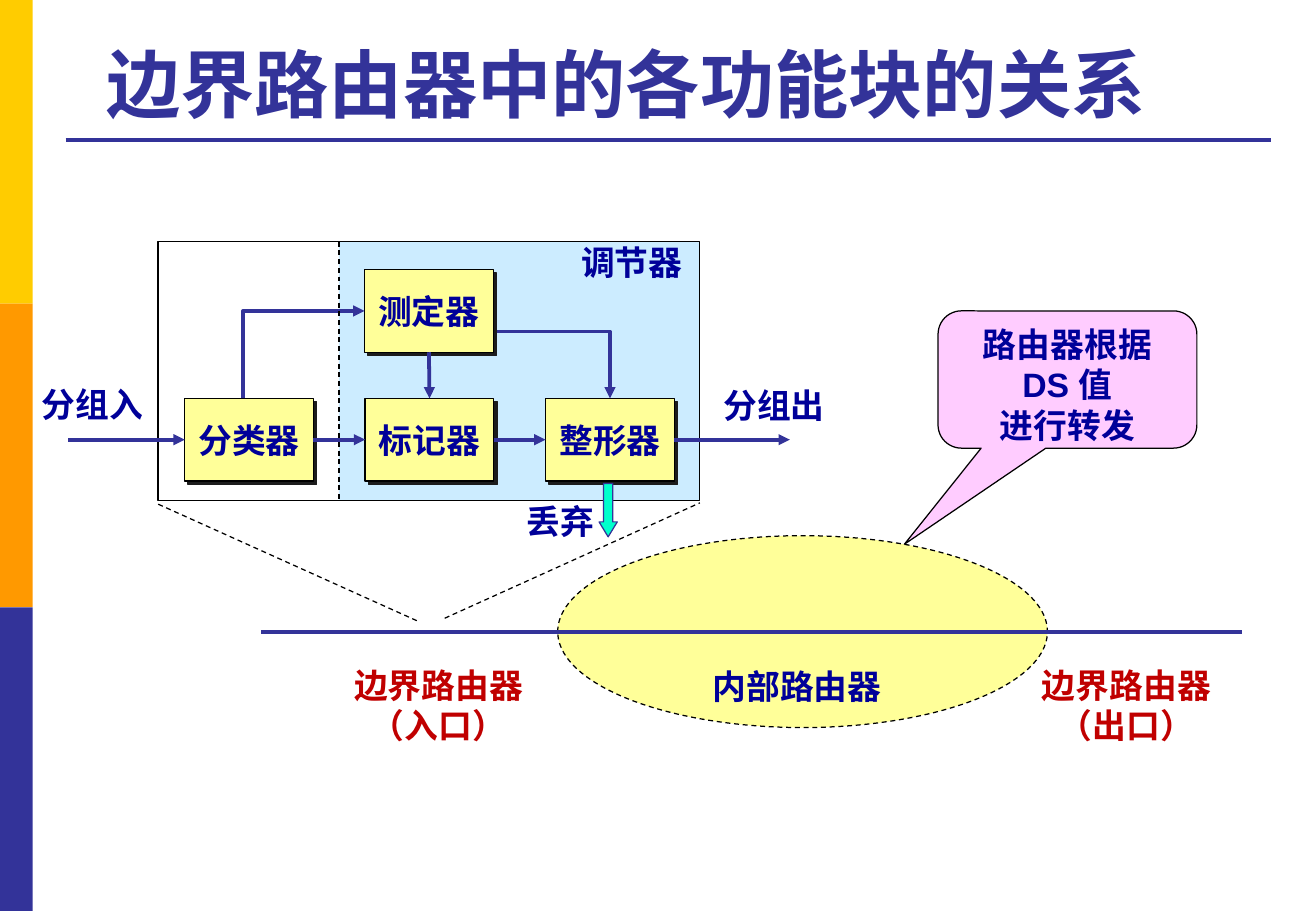
"""Build the slide on the function blocks of an edge router."""
from dataclasses import dataclass
from typing import Optional

from lxml.etree import SubElement
from pptx import Presentation
from pptx.dml.color import RGBColor
from pptx.enum.dml import MSO_LINE
from pptx.enum.shapes import MSO_CONNECTOR, MSO_SHAPE
from pptx.enum.text import MSO_ANCHOR, PP_ALIGN
from pptx.oxml.ns import qn
from pptx.util import Inches, Pt

BLACK = RGBColor(0x00, 0x00, 0x00)
INDIGO = RGBColor(0x33, 0x33, 0x99)
NAVY = RGBColor(0x00, 0x00, 0x99)
RED = RGBColor(0xC0, 0x00, 0x00)
GOLD = RGBColor(0xFF, 0xCC, 0x00)
ORANGE = RGBColor(0xFF, 0x99, 0x00)
SKY = RGBColor(0xCC, 0xEC, 0xFF)
YELLOW = RGBColor(0xFF, 0xFF, 0x99)
PINK = RGBColor(0xFF, 0xCC, 0xFF)
MINT = RGBColor(0x00, 0xFF, 0xCC)
TOP, LEFT, BOTTOM, RIGHT = range(4)


@dataclass
class Area:
    """A preset shape, its place and its look."""
    x: float
    y: float
    w: float
    h: float
    fill: Optional[RGBColor] = None
    edge: Optional[RGBColor] = None
    dash: bool = False
    kind: MSO_SHAPE = MSO_SHAPE.RECTANGLE


@dataclass
class Label:
    """A text box with its lines of text."""
    x: float
    y: float
    w: float
    h: float
    lines: list[str]
    color: RGBColor = NAVY


@dataclass
class Link:
    """A straight line between two points."""
    start: tuple[float, float]
    end: tuple[float, float]
    color: RGBColor = INDIGO
    width: float = 2.25
    dash: bool = False
    arrow: bool = False


def write(frame, lines: list[str], color: RGBColor, size: int = 20) -> None:
    """Fill a text frame with bold centred lines."""
    frame.text = "\n".join(lines)
    for para in frame.paragraphs:
        para.alignment = PP_ALIGN.CENTER
        font = para.font
        font.name, font.size, font.bold = "Arial", Pt(size), True
        font.color.rgb = color


def stroke(line, color: RGBColor, width: float, dash: bool = False, arrow: bool = False) -> None:
    """Set the look of a line."""
    line.color.rgb = color
    line.width = Pt(width)
    if dash:
        line.dash_style = MSO_LINE.DASH
    if arrow:
        SubElement(line._get_or_add_ln(), qn("a:tailEnd"), type="triangle")


def draw_area(shapes, area: Area):
    """Draw a preset shape."""
    shape = shapes.add_shape(area.kind, *map(Inches, (area.x, area.y, area.w, area.h)))
    shape.shadow.inherit = False
    if area.fill is None:
        shape.fill.background()
    else:
        shape.fill.solid()
        shape.fill.fore_color.rgb = area.fill
    if area.edge is None:
        shape.line.fill.background()
    else:
        stroke(shape.line, area.edge, 0.75, area.dash)
    return shape


def draw_block(shapes, x: float, y: float, name: str):
    """Draw a function block with a hard shadow."""
    block = draw_area(shapes, Area(x, y, 1.06, 0.68, YELLOW, BLACK))
    effects = block._element.spPr.find(qn("a:effectLst"))
    shade = SubElement(effects, qn("a:outerShdw"), dist=str(Pt(2.8)), dir="2700000",
                       algn="ctr", rotWithShape="0")
    SubElement(shade, qn("a:srgbClr"), val="1C1C1C")
    block.text_frame.word_wrap = False
    block.text_frame.vertical_anchor = MSO_ANCHOR.MIDDLE
    write(block.text_frame, [name], NAVY)
    return block


def draw_label(shapes, label: Label) -> None:
    """Draw a text label."""
    box = shapes.add_textbox(*map(Inches, (label.x, label.y, label.w, label.h)))
    box.text_frame.word_wrap = False
    write(box.text_frame, label.lines, label.color)


def draw_link(shapes, link: Link):
    """Draw a straight connector."""
    ends = map(Inches, (*link.start, *link.end))
    line = shapes.add_connector(MSO_CONNECTOR.STRAIGHT, *ends)
    stroke(line.line, link.color, link.width, link.dash, link.arrow)
    SubElement(line._element.spPr, qn("a:effectLst"))
    return line


def draw_bend(shapes, points: list[tuple[float, float]]) -> None:
    """Draw a bent arrow through the points."""
    spots = [(Inches(x), Inches(y)) for x, y in points]
    path = shapes.build_freeform(*spots[0])
    path.add_line_segments(spots[1:], close=False)
    bend = path.convert_to_shape()
    bend.shadow.inherit = False
    bend.fill.background()
    stroke(bend.line, INDIGO, 2.25, arrow=True)


def draw_frame(shapes) -> None:
    """Draw the side bars, the title and its rule."""
    for row, color in enumerate((GOLD, ORANGE, INDIGO)):
        draw_area(shapes, Area(0, 2.5 * row, 0.27, 2.5, color))
    draw_link(shapes, Link((0.54, 1.15), (10.46, 1.15)))
    title = shapes.add_textbox(*map(Inches, (0.46, 0.21, 9.39, 0.89))).text_frame
    title.word_wrap = True
    title.vertical_anchor = MSO_ANCHOR.BOTTOM
    write(title, ["边界路由器中的各功能块的关系"], INDIGO, 44)


def draw_flow(shapes) -> None:
    """Draw the function blocks and the arrows between them."""
    names = ("分类器", "标记器", "整形器")
    row = [draw_block(shapes, 1.52 + 1.485 * col, 3.28, name) for col, name in enumerate(names)]
    meter = draw_block(shapes, 3, 2.22, "测定器")
    sort, mark, shape = row
    joins = [
        (None, 0, sort, LEFT), (sort, RIGHT, mark, LEFT), (mark, RIGHT, shape, LEFT),
        (shape, RIGHT, None, 0), (meter, BOTTOM, mark, TOP),
    ]
    for first, out, last, into in joins:
        line = draw_link(shapes, Link((0.56, 3.62), (6.5, 3.62), arrow=True))
        if first is not None:
            line.begin_connect(first, out)
        if last is not None:
            line.end_connect(last, into)
    draw_bend(shapes, [(2, 3.28), (2, 2.56), (3, 2.56)])
    draw_bend(shapes, [(4.09, 2.73), (5.02, 2.73), (5.02, 3.28)])


def main() -> None:
    """Build and save the slide."""
    deck = Presentation()
    deck.slide_width, deck.slide_height = Inches(10.83), Inches(7.5)
    shapes = deck.slides.add_slide(deck.slide_layouts[6]).shapes
    draw_frame(shapes)
    for area in (
        Area(2.79, 1.99, 2.97, 2.13, SKY),
        Area(1.3, 1.99, 4.46, 2.13, None, BLACK),
        Area(4.59, 4.41, 4.03, 1.58, YELLOW, BLACK, True, MSO_SHAPE.OVAL),
    ):
        draw_area(shapes, area)
    draw_link(shapes, Link((2.15, 5.2), (10.22, 5.2)))
    draw_flow(shapes)
    for start, end in (
        ((3.66, 5.09), (5.76, 4.14)), ((3.43, 5.11), (1.3, 4.15)), ((2.79, 1.99), (2.79, 4.12)),
    ):
        draw_link(shapes, Link(start, end, BLACK, 0.75, True))
    note = draw_area(shapes, Area(7.72, 2.56, 2.13, 1.13, PINK, BLACK,
                                  kind=MSO_SHAPE.ROUNDED_RECTANGULAR_CALLOUT))
    note.adjustments[0], note.adjustments[1], note.adjustments[2] = -0.63, 1.2, 0.17
    note.text_frame.word_wrap = True
    note.text_frame.vertical_anchor = MSO_ANCHOR.TOP
    write(note.text_frame, ["路由器根据 DS 值", "进行转发"], NAVY)
    drop = draw_area(shapes, Area(4.93, 3.98, 0.15, 0.44, MINT, INDIGO, kind=MSO_SHAPE.DOWN_ARROW))
    drop.adjustments[0], drop.adjustments[1] = 0.5, 0.82
    for label in (
        Label(5.76, 5.43, 1.6, 0.44, ["内部路由器"]),
        Label(2.81, 5.42, 1.6, 0.77, ["边界路由器", "（入口）"], RED),
        Label(8.47, 5.42, 1.6, 0.77, ["边界路由器", "（出口）"], RED),
        Label(4.68, 1.94, 1.04, 0.44, ["调节器"]),
        Label(0.24, 3.11, 1.04, 0.44, ["分组入"]),
        Label(5.85, 3.12, 1.04, 0.44, ["分组出"]),
        Label(4.23, 4.07, 0.76, 0.44, ["丢弃"]),
    ):
        draw_label(shapes, label)
    deck.save("out.pptx")


if __name__ == "__main__":
    main()
